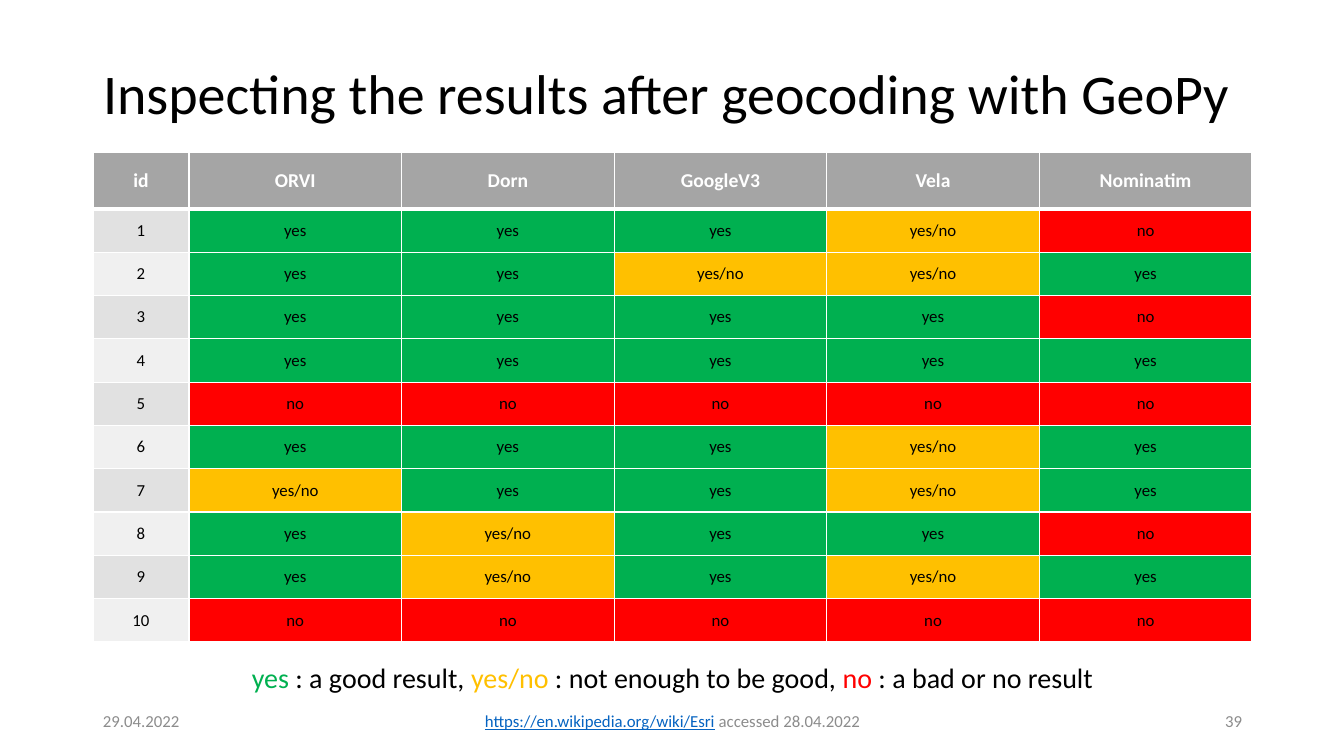
from lxml.etree import SubElement
from pptx import Presentation
from pptx.dml.color import RGBColor
from pptx.enum.text import MSO_ANCHOR, MSO_AUTO_SIZE, PP_ALIGN
from pptx.oxml.ns import qn
from pptx.util import Emu, Pt

PX_PER_INCH = 100.8
FONT = "Calibri"
WHITE = RGBColor(0xFF, 0xFF, 0xFF)
BLACK = RGBColor(0x00, 0x00, 0x00)
HEADER_GRAY = RGBColor(0xA5, 0xA5, 0xA5)
ID_FILLS = (RGBColor(0xE1, 0xE1, 0xE1), RGBColor(0xF0, 0xF0, 0xF0))
FOOTER_GRAY = RGBColor(0x8C, 0x8C, 0x8C)
LINK_BLUE = RGBColor(0x05, 0x63, 0xC1)
RATING_COLORS = {
    "yes": RGBColor(0x00, 0xB0, 0x50),
    "yes/no": RGBColor(0xFF, 0xC0, 0x00),
    "no": RGBColor(0xFF, 0x00, 0x00),
}

HEADERS = ("id", "ORVI", "Dorn", "GoogleV3", "Vela", "Nominatim")
RATINGS = (
    ("yes", "yes", "yes", "yes/no", "no"),
    ("yes", "yes", "yes/no", "yes/no", "yes"),
    ("yes", "yes", "yes", "yes", "no"),
    ("yes", "yes", "yes", "yes", "yes"),
    ("no", "no", "no", "no", "no"),
    ("yes", "yes", "yes", "yes/no", "yes"),
    ("yes/no", "yes", "yes", "yes/no", "yes"),
    ("yes", "yes/no", "yes", "yes", "no"),
    ("yes", "yes/no", "yes", "yes/no", "yes"),
    ("no", "no", "no", "no", "no"),
)
MEANINGS = (
    ("yes", " : a good result, "),
    ("yes/no", " : not enough to be good, "),
    ("no", " : a bad or no result"),
)


def px(length):
    return Emu(round(length * 914400 / PX_PER_INCH))


def style_paragraph(para, size, color=None, align=PP_ALIGN.LEFT, bold=False):
    para.alignment = align
    para.font.name = FONT
    para.font.size = Pt(size)
    para.font.bold = bold
    if color is not None:
        para.font.color.rgb = color


def add_span(para, text, color, underline=None):
    span = para.add_run()
    span.text = text
    span.font.color.rgb = color
    span.font.underline = underline


def add_text_box(page, box, anchor):
    """Add an empty wrapping text box and return its first paragraph."""
    frame = page.shapes.add_textbox(*map(px, box)).text_frame
    frame.word_wrap = True
    frame.vertical_anchor = anchor
    return frame.paragraphs[0]


def add_title(page, box):
    title = page.shapes.title
    title.left, title.top, title.width, title.height = map(px, box)
    frame = title.text_frame
    frame.text = "Inspecting the results after geocoding with GeoPy"
    frame.auto_size = MSO_AUTO_SIZE.NONE
    frame.vertical_anchor = MSO_ANCHOR.MIDDLE
    para = frame.paragraphs[0]
    para.line_spacing = 0.9
    style_paragraph(para, 40, BLACK)


def set_borders(cell, widths):
    """Draw white borders, given in points by side."""
    properties = cell._tc.get_or_add_tcPr()
    for index, (side, width) in enumerate(widths.items()):
        line = properties.makeelement(qn(f"a:ln{side}"), {"w": str(Pt(width))})
        fill = SubElement(line, qn("a:solidFill"))
        SubElement(fill, qn("a:srgbClr"), val=str(WHITE))
        properties.insert(index, line)


def fill_cell(cell, text, fill, top=1, bottom=1, size=12, color=BLACK, bold=False):
    cell.text = text
    cell.vertical_anchor = MSO_ANCHOR.MIDDLE
    cell.margin_left = cell.margin_right = px(10)
    cell.margin_top = cell.margin_bottom = px(5)
    cell.fill.solid()
    cell.fill.fore_color.rgb = fill
    set_borders(cell, {"L": 1, "R": 1, "T": top, "B": bottom})
    style_paragraph(cell.text_frame.paragraphs[0], size, color, PP_ALIGN.CENTER, bold)


def add_results_table(page, box):
    width, height = box[2:]
    id_width, header_height = 96, 57
    table = page.shapes.add_table(len(RATINGS) + 1, len(HEADERS), *map(px, box)).table
    table.horz_banding = False
    for index, column in enumerate(table.columns):
        column.width = px((width - id_width) / (len(HEADERS) - 1) if index else id_width)
    for index, row in enumerate(table.rows):
        row.height = px((height - header_height) / len(RATINGS) if index else header_height)

    for column, name in enumerate(HEADERS):
        fill_cell(table.cell(0, column), name, HEADER_GRAY, bottom=3,
                  size=14, color=WHITE, bold=True)
    for number, ratings in enumerate(RATINGS, 1):
        top = 3 if number == 1 else 1
        fill_cell(table.cell(number, 0), str(number), ID_FILLS[(number - 1) % 2], top)
        for column, rating in enumerate(ratings, 1):
            fill_cell(table.cell(number, column), rating, RATING_COLORS[rating], top)


def add_legend(page, box):
    para = add_text_box(page, box, MSO_ANCHOR.TOP)
    para.line_spacing = 0.9
    style_paragraph(para, 20, align=PP_ALIGN.CENTER)
    for rating, meaning in MEANINGS:
        add_span(para, rating, RATING_COLORS[rating])
        add_span(para, meaning, BLACK)


def add_footer(page, box):
    left, top, width, height = box
    side_width, source_width = 302, 454
    date_box = (left, top, side_width, height)
    source_box = (left + (width - source_width) / 2, top, source_width, height)
    number_box = (left + width - side_width, top, side_width, height)

    date = add_text_box(page, date_box, MSO_ANCHOR.MIDDLE)
    style_paragraph(date, 12)
    add_span(date, "29.04.2022", FOOTER_GRAY)

    source = add_text_box(page, source_box, MSO_ANCHOR.MIDDLE)
    style_paragraph(source, 12, align=PP_ALIGN.CENTER)
    add_span(source, "https://en.wikipedia.org/wiki/Esri", LINK_BLUE, underline=True)
    add_span(source, " accessed 28.04.2022", FOOTER_GRAY)

    number = add_text_box(page, number_box, MSO_ANCHOR.MIDDLE)
    style_paragraph(number, 12, align=PP_ALIGN.RIGHT)
    add_span(number, "39", FOOTER_GRAY)


def main():
    deck = Presentation()
    deck.slide_width, deck.slide_height = px(1344), px(756)
    page = deck.slides.add_slide(deck.slide_layouts.get_by_name("Title Only"))
    left, width = 93, 1159
    add_title(page, (left, 40, width, 112))
    add_results_table(page, (left, 152, width, 490))
    add_legend(page, (left, 659, width, 41))
    add_footer(page, (left, 701, width, 40))
    deck.save("out.pptx")


if __name__ == "__main__":
    main()
